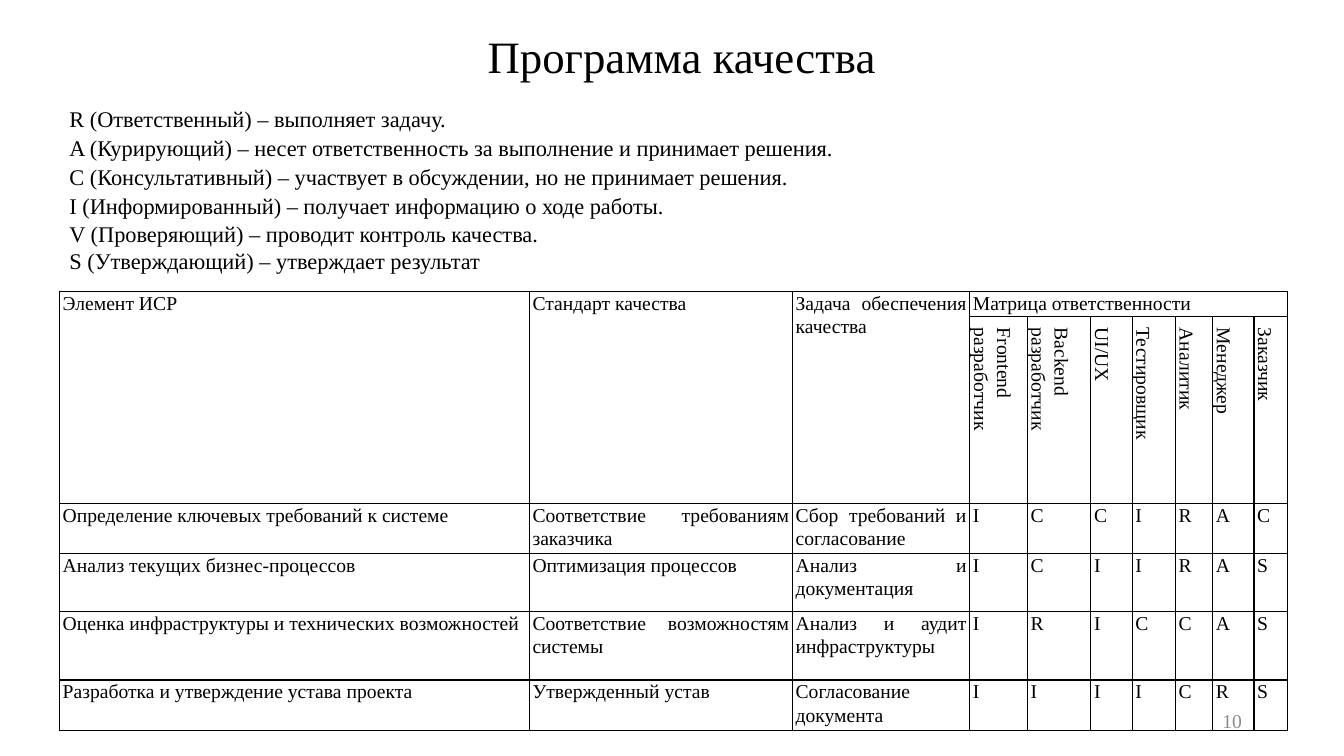
from dataclasses import dataclass

from lxml import etree
from pptx import Presentation
from pptx.dml.color import RGBColor
from pptx.enum.text import MSO_ANCHOR, PP_ALIGN
from pptx.oxml.ns import qn
from pptx.util import Cm, Pt

LEFT, CENTER, RIGHT = PP_ALIGN.LEFT, PP_ALIGN.CENTER, PP_ALIGN.RIGHT
JUSTIFY = PP_ALIGN.JUSTIFY
TOP, MIDDLE = MSO_ANCHOR.TOP, MSO_ANCHOR.MIDDLE


@dataclass(frozen=True)
class Theme:
    font: str = "Times New Roman"
    ink: str = "000000"
    muted: str = "8C8C8C"
    title: int = 32
    body: int = 16
    small: int = 14
    spacing: float = 1.07
    border: int = 1


THEME = Theme()

LEGEND = [
    "R (Ответственный) – выполняет задачу.",
    "A (Курирующий) – несет ответственность за выполнение и принимает решения.",
    "C (Консультативный) – участвует в обсуждении, но не принимает решения.",
    "I (Информированный) – получает информацию о ходе работы.",
    "V (Проверяющий) – проводит контроль качества.",
]
LEGEND_END = "S (Утверждающий) – утверждает результат"

HEADERS = ["Элемент ИСР", "Стандарт качества", "Задача обеспечения качества"]
MATRIX_HEADER = "Матрица ответственности"
ROLES = ["Frontend разработчик", "Backend разработчик", "UI/UX", "Тестировщик",
         "Аналитик", "Менеджер", "Заказчик"]
# Element, standard, task, one letter for each role
TASKS = [
    ("Определение ключевых требований к системе",
     "Соответствие требованиям заказчика", "Сбор требований и согласование", "ICCIRAC"),
    ("Анализ текущих бизнес-процессов",
     "Оптимизация процессов", "Анализ и документация", "ICIIRAS"),
    ("Оценка инфраструктуры и технических возможностей",
     "Соответствие возможностям системы", "Анализ и аудит инфраструктуры", "IRICCAS"),
    ("Разработка и утверждение устава проекта",
     "Утвержденный устав", "Согласование документа", "IIIICRS"),
]
COL_WIDTHS = [11.84, 6.63, 4.47, 1.45, 1.6, 1.04, 1.09, 0.94, 1.04, 0.84]
ROW_HEIGHTS = [0.28, 3.38, 1.14, 1.45, 1.73, 1.14]


def add_run(p, text, size, color=THEME.ink):
    r = p.add_run()
    r.text = text
    r.font.name = THEME.font
    r.font.size = Pt(size)
    r.font.color.rgb = RGBColor.from_string(color)


def add_text(slide, box, lines, size, align, color=THEME.ink, anchor=TOP):
    """Add a text box; each line is a (text, alignment, spacing) paragraph."""
    tf = slide.shapes.add_textbox(*map(Cm, box)).text_frame
    tf.word_wrap = True
    tf.vertical_anchor = anchor
    for i, (text, spacing) in enumerate(lines):
        p = tf.add_paragraph() if i else tf.paragraphs[0]
        p.alignment = align if spacing or len(lines) == 1 else LEFT
        p.line_spacing = spacing
        add_run(p, text, size, color)


def style_cell(cell):
    cell.margin_left = cell.margin_right = Cm(0.08)
    cell.margin_top = cell.margin_bottom = 0
    cell.fill.background()
    tcPr = cell._tc.get_or_add_tcPr()
    for i, side in enumerate(("a:lnL", "a:lnR", "a:lnT", "a:lnB")):
        ln = etree.Element(qn(side), w=str(Pt(THEME.border)))
        fill = etree.SubElement(ln, qn("a:solidFill"))
        etree.SubElement(fill, qn("a:srgbClr"), val=THEME.ink)
        tcPr.insert(i, ln)


def fill_cell(cell, text, vertical=False):
    p = cell.text_frame.paragraphs[0]
    p.alignment = JUSTIFY
    p.line_spacing = THEME.spacing
    if vertical:
        cell._tc.get_or_add_tcPr().set("vert", "vert")
        p._p.get_or_add_pPr().set("marL", str(Cm(0.2)))
    add_run(p, text, THEME.small)


def add_matrix(slide):
    frame = slide.shapes.add_table(
        len(ROW_HEIGHTS), len(COL_WIDTHS), Cm(1.5), Cm(7.34),
        Cm(sum(COL_WIDTHS)), Cm(sum(ROW_HEIGHTS)))
    table = frame.table
    table.first_row = table.horz_banding = False
    for col, width in zip(table.columns, COL_WIDTHS):
        col.width = Cm(width)
    for row, height in zip(table.rows, ROW_HEIGHTS):
        row.height = Cm(height)
    for cell in table.iter_cells():
        style_cell(cell)

    # Header rows
    first_role = len(HEADERS)
    for c, text in enumerate(HEADERS):
        table.cell(0, c).merge(table.cell(1, c))
        fill_cell(table.cell(0, c), text)
    table.cell(0, first_role).merge(table.cell(0, len(COL_WIDTHS) - 1))
    fill_cell(table.cell(0, first_role), MATRIX_HEADER)
    for c, role in enumerate(ROLES, first_role):
        fill_cell(table.cell(1, c), role, vertical=True)

    # Task rows
    for r, (*texts, letters) in enumerate(TASKS, 2):
        for c, text in enumerate([*texts, *letters]):
            fill_cell(table.cell(r, c), text)


def main():
    prs = Presentation()
    prs.slide_width, prs.slide_height = Cm(33.87), Cm(19.05)
    slide = prs.slides.add_slide(prs.slide_layouts[6])

    # Title and page number
    add_text(slide, (3.02, 0.61, 28.32, 1.63), [("Программа качества", None)],
             THEME.title, CENTER)
    add_text(slide, (23.93, 17.65, 7.62, 1.02), [("10", None)],
             THEME.small, RIGHT, THEME.muted, MIDDLE)

    # Role legend
    legend = [(text, THEME.spacing) for text in LEGEND] + [(LEGEND_END, None)]
    add_text(slide, (1.5, 2.49, 30.94, 4.6), legend, THEME.body, JUSTIFY)

    # Responsibility matrix
    add_matrix(slide)
    prs.save("out.pptx")


if __name__ == "__main__":
    main()
